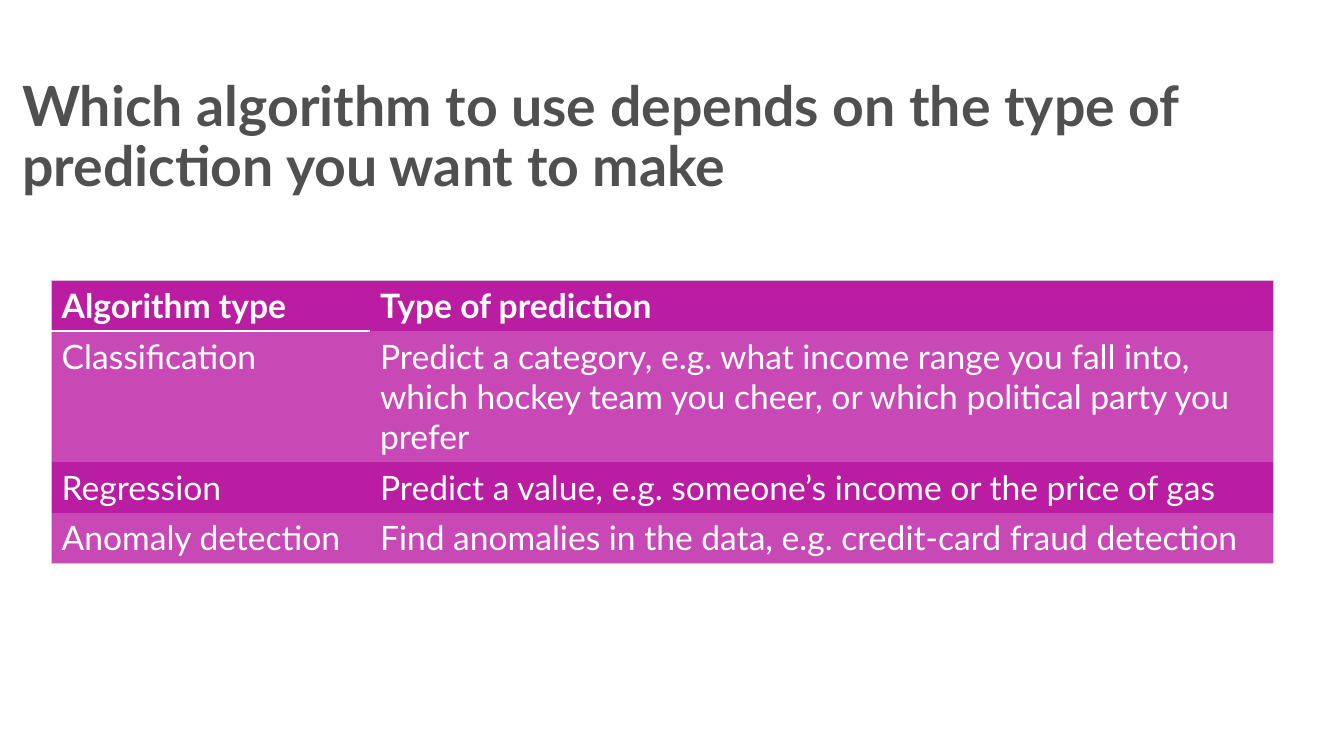
import pptx
import pptx.dml.color
import pptx.enum.text
import pptx.oxml
import pptx.oxml.ns
import pptx.util
from dataclasses import dataclass

Pt = pptx.util.Pt


@dataclass(frozen=True)
class Theme:
    font: str = "Lato"
    title_size: float = 39.6
    table_size: float = 24
    title_color: str = "505050"
    table_color: str = "FFFFFF"
    dark_fill: str = "BA1CA2"
    light_fill: str = "C849B5"
    frame: tuple = ("DEBED6", 0.5)
    header_rule: tuple = ("FFFFFF", 1.5)


class SlideBuilder:
    def __init__(self, slide, theme):
        self.slide = slide
        self.theme = theme

    def style(self, paragraph, size, color, bold):
        font = paragraph.font
        font.name = self.theme.font
        font.size = Pt(size)
        font.bold = bold
        font.color.rgb = pptx.dml.color.RGBColor.from_string(color)

    def title(self, text, left, top, width, height):
        shape = self.slide.shapes.add_textbox(Pt(left), Pt(top), Pt(width), Pt(height))
        frame = shape.text_frame
        frame.word_wrap = True
        frame.vertical_anchor = pptx.enum.text.MSO_ANCHOR.TOP
        paragraph = frame.paragraphs[0]
        paragraph.text = text
        paragraph.line_spacing = 0.9
        self.style(paragraph, self.theme.title_size, self.theme.title_color, True)

    def borders(self, cell, edges):
        """Set left, right, top and bottom lines; None hides a line."""
        properties = cell._tc.get_or_add_tcPr()
        namespace = pptx.oxml.ns.nsdecls("a")
        for index, (side, line) in enumerate(zip("LRTB", edges)):
            if line:
                color, width = line
                size = f'w="{Pt(width)}"'
                fill = f'<a:solidFill><a:srgbClr val="{color}"/></a:solidFill>'
            else:
                size, fill = "", "<a:noFill/>"
            properties.insert(index, pptx.oxml.parse_xml(
                f"<a:ln{side} {namespace} {size}>{fill}</a:ln{side}>"))

    def table(self, rows, left, top, column_widths, row_heights):
        theme = self.theme
        shape = self.slide.shapes.add_table(
            len(rows), len(column_widths), Pt(left), Pt(top),
            Pt(sum(column_widths)), Pt(sum(row_heights)))
        table = shape.table
        for column, width in zip(table.columns, column_widths):
            column.width = Pt(width)
        last_row, last_column = len(rows) - 1, len(column_widths) - 1
        for r, (texts, height) in enumerate(zip(rows, row_heights)):
            table.rows[r].height = Pt(height)
            for c, text in enumerate(texts):
                cell = table.cell(r, c)
                paragraph = cell.text_frame.paragraphs[0]
                paragraph.text = text
                self.style(paragraph, theme.table_size, theme.table_color, r == 0)
                # Alternating row bands
                cell.fill.solid()
                cell.fill.fore_color.rgb = pptx.dml.color.RGBColor.from_string(
                    theme.light_fill if r % 2 else theme.dark_fill)
                # Outer frame, and a rule under the first heading
                rule = theme.header_rule if c == 0 else None
                self.borders(cell, (
                    theme.frame if c == 0 else None,
                    theme.frame if c == last_column else None,
                    theme.frame if r == 0 else rule if r == 1 else None,
                    theme.frame if r == last_row else rule if r == 0 else None))


def main():
    presentation = pptx.Presentation()
    presentation.slide_width, presentation.slide_height = Pt(960), Pt(540)
    slide = presentation.slides.add_slide(presentation.slide_layouts[6])
    builder = SlideBuilder(slide, Theme())

    # Heading
    builder.title(
        "Which algorithm to use depends on the type of prediction you want to make",
        8.64, 52.56, 910.8, 66.24)

    # Algorithm overview
    builder.table(
        [("Algorithm type", "Type of prediction"),
         ("Classification", "Predict a category, e.g. what income range you fall into, "
          "which hockey team you cheer, or which political party you prefer"),
         ("Regression", "Predict a value, e.g. someone’s income or the price of gas"),
         ("Anomaly detection",
          "Find anomalies in the data, e.g. credit-card fraud detection")],
        36.9, 200.4, (227.4, 645.1), (36, 93.6, 36, 36))

    presentation.save("out.pptx")


if __name__ == "__main__":
    main()
